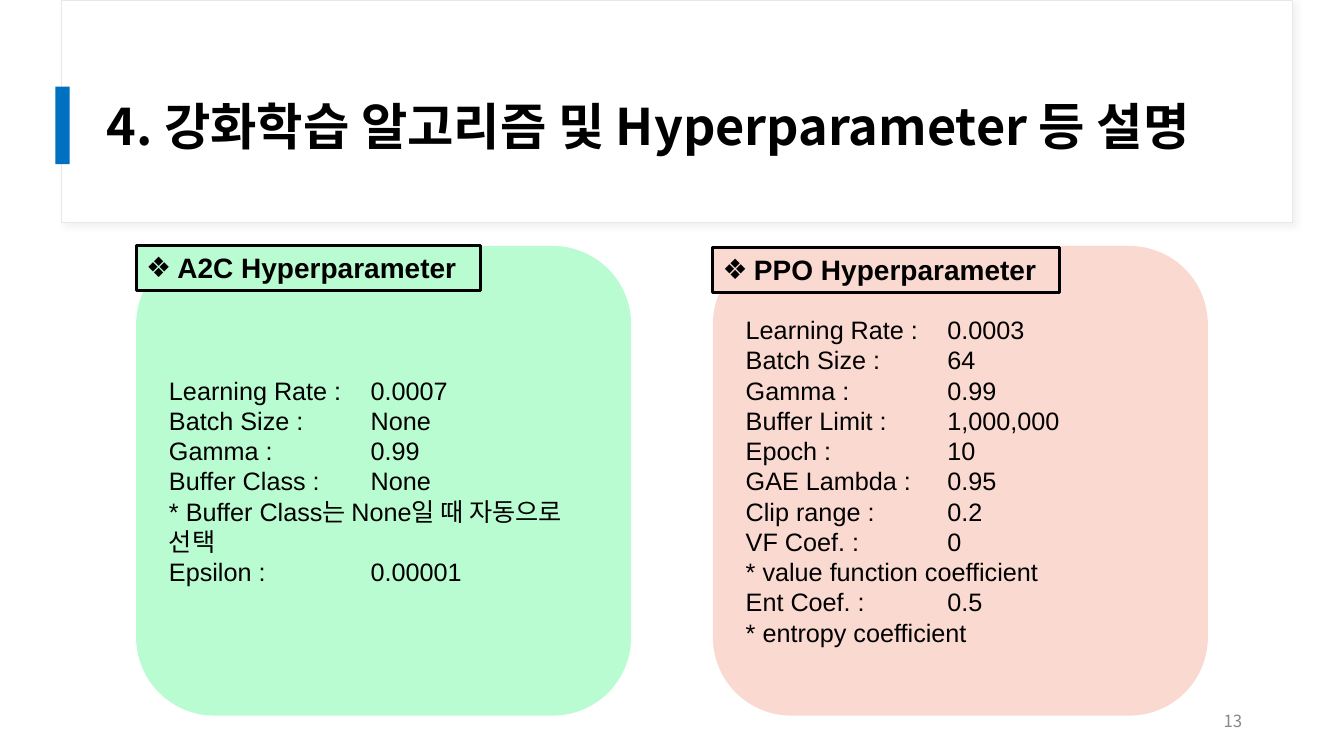
from lxml import etree
from pptx import Presentation
from pptx.dml.color import RGBColor
from pptx.enum.shapes import MSO_SHAPE
from pptx.enum.text import MSO_ANCHOR, PP_ALIGN
from pptx.oxml import parse_xml
from pptx.oxml.ns import qn
from pptx.util import Pt

RECT = MSO_SHAPE.RECTANGLE
ROUND = MSO_SHAPE.ROUNDED_RECTANGLE
TOP, MIDDLE = MSO_ANCHOR.TOP, MSO_ANCHOR.MIDDLE
LEFT, RIGHT = PP_ALIGN.LEFT, PP_ALIGN.RIGHT

WHITE = RGBColor(0xFF, 0xFF, 0xFF)
BLACK = RGBColor(0x00, 0x00, 0x00)
GRAY = RGBColor(0x88, 0x88, 0x88)
PALE = RGBColor(0xE8, 0xE8, 0xE8)
BLUE = RGBColor(0x00, 0x70, 0xC0)
GREEN = RGBColor(0xBA, 0xFC, 0xD1)
PINK = RGBColor(0xFA, 0xD9, 0xD1)

SCALE = 9144
KOREAN = "Noto Sans CJK KR"
DRAWING = "http://schemas.openxmlformats.org/drawingml/2006/main"

TITLE = {"name": KOREAN, "size": Pt(36), "bold": True}
NUMBER = {"name": KOREAN, "size": Pt(12)}
BODY = {"name": "Arial", "size": Pt(18)}
LABEL = {"name": "Arial", "size": Pt(20), "bold": True}

SHADOW = (
    f'<a:outerShdw xmlns:a="{DRAWING}" blurRad="50800" dist="38100" '
    'dir="2700000" algn="tl" rotWithShape="0"><a:srgbClr val="D8D8D8">'
    '<a:alpha val="30000"/></a:srgbClr></a:outerShdw>'
)

PANELS = [
    (135, 244, 342, GREEN, "A2C Hyperparameter", [
        "Learning Rate :\t0.0007",
        "Batch Size :\tNone",
        "Gamma :\t0.99",
        "Buffer Class :\tNone\v* Buffer Class는 None일 때 자동으로 선택",
        "Epsilon :\t0.00001",
    ]),
    (707, 246, 344, PINK, "PPO Hyperparameter", [
        "Learning Rate :\t0.0003",
        "Batch Size :\t64",
        "Gamma :\t0.99",
        "Buffer Limit :\t1,000,000",
        "Epoch :\t10",
        "GAE Lambda :\t0.95",
        "Clip range :\t0.2",
        "VF Coef. :\t0\v* value function coefficient",
        "Ent Coef. :\t0.5",
        "* entropy coefficient",
    ]),
]


def px(count):
    return count * SCALE


class Deck:
    def __init__(self, width, height):
        self.file = Presentation()
        self.file.slide_width = px(width)
        self.file.slide_height = px(height)
        self.slide = self.file.slides.add_slide(self.file.slide_layouts[6])

    def shape(self, kind, box, fill, line=None, weight=0):
        item = self.slide.shapes.add_shape(kind, *map(px, box))
        item.shadow.inherit = False
        item.fill.solid()
        item.fill.fore_color.rgb = fill
        if line is None:
            item.line.fill.background()
        else:
            item.line.color.rgb = line
            item.line.width = Pt(weight)
        return item

    def shade(self, item):
        item._element.spPr.find(qn("a:effectLst")).append(parse_xml(SHADOW))

    def text(self, box, line, style, color=BLACK, align=LEFT):
        item = self.slide.shapes.add_textbox(*map(px, box))
        self.label(item, [line], style, color, align)

    def label(self, item, lines, style, color=BLACK, align=LEFT, anchor=MIDDLE):
        frame = item.text_frame
        frame.word_wrap = True
        frame.vertical_anchor = anchor
        frame.text = "\n".join(lines)
        for para in frame.paragraphs:
            para.alignment = align
            for run in para.runs:
                for key, value in style.items():
                    setattr(run.font, key, value)
                run.font.color.rgb = color
                east = etree.SubElement(run.font._element, qn("a:ea"))
                east.set("typeface", KOREAN)

    def tabs(self, item, stop):
        for para in item.text_frame.paragraphs:
            group = etree.SubElement(para._p.get_or_add_pPr(), qn("a:tabLst"))
            tab = etree.SubElement(group, qn("a:tab"))
            tab.set("pos", str(px(stop)))
            tab.set("algn", "l")

    def bullet(self, item, mark, indent):
        props = item.text_frame.paragraphs[0]._p.get_or_add_pPr()
        props.set("marL", str(px(indent)))
        props.set("indent", str(px(-indent)))
        tint = etree.SubElement(props, qn("a:buClr"))
        etree.SubElement(tint, qn("a:srgbClr")).set("val", str(BLACK))
        etree.SubElement(props, qn("a:buFont")).set("typeface", "Arial")
        etree.SubElement(props, qn("a:buChar")).set("char", mark)

    def panel(self, left, top, width, fill, name, lines):
        card = self.shape(ROUND, (left, 244, 491, 466), fill)
        card.adjustments[0] = 0.167
        self.label(card, lines, BODY)
        self.tabs(card, 200)
        head = self.shape(RECT, (left, top, width, 44), fill, BLACK, 2.25)
        self.label(head, [name], LABEL, anchor=TOP)
        self.bullet(head, "❖", 31)


def main():
    deck = Deck(1333, 750)
    head = deck.shape(RECT, (61, 0, 1221, 221), WHITE, PALE, 0.75)
    deck.shade(head)
    deck.shape(RECT, (55, 86, 14, 77), BLUE)
    deck.text((96, 60, 1157, 129), "4. 강화학습 알고리즘 및 Hyperparameter 등 설명", TITLE)
    deck.text((942, 695, 300, 40), "13", NUMBER, GRAY, RIGHT)
    for panel in PANELS:
        deck.panel(*panel)
    deck.file.save("out.pptx")


if __name__ == "__main__":
    main()
